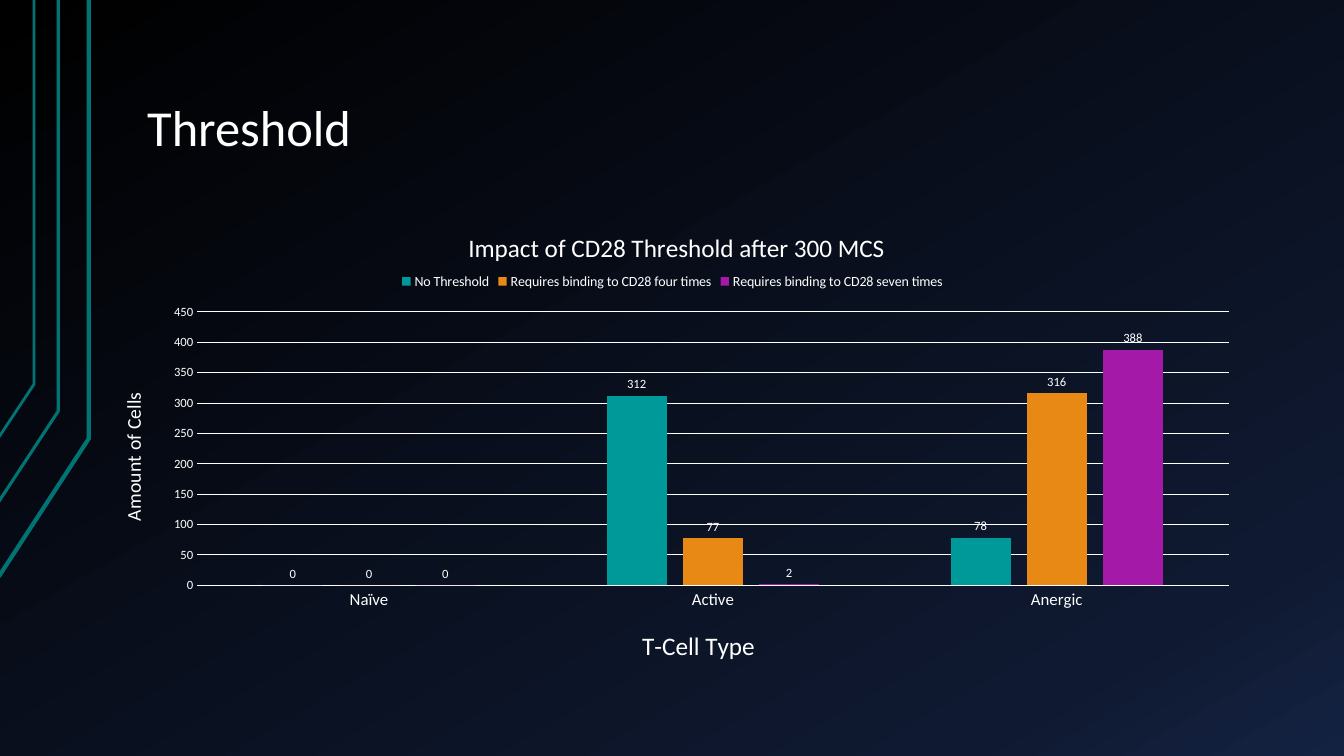
from copy import deepcopy

from lxml import etree
from pptx import Presentation
from pptx.chart.data import CategoryChartData
from pptx.dml.color import RGBColor
from pptx.enum.chart import (XL_CHART_TYPE, XL_LABEL_POSITION,
                             XL_LEGEND_POSITION, XL_TICK_MARK)
from pptx.enum.text import MSO_ANCHOR, PP_ALIGN
from pptx.oxml.ns import qn
from pptx.util import Cm, Pt

COLUMNS = XL_CHART_TYPE.COLUMN_CLUSTERED
OUTSIDE_END = XL_LABEL_POSITION.OUTSIDE_END
LEGEND_TOP = XL_LEGEND_POSITION.TOP
NO_TICK = XL_TICK_MARK.NONE

FONT = "Calibri"
WHITE = "FFFFFF"
TEAL = "007373"
TITLE = "Threshold"
GRADIENT = [(0, "000000"), (0.85, "0F1931"), (1, "142242")]

# Left end x, y; bend x, y (cm); width (pt). Each line rises from its bend.
EDGE_LINES = [
    (-0.03, 14.53, 2.24, 11.05, 3),
    (-0.05, 12.67, 1.47, 10.36, 2.25),
    (-0.03, 11.02, 0.86, 9.68, 2),
]

CHART_BOX = (2.34, 5.08, 29.21, 12.09)
CATEGORIES = ["Naïve", "Active", "Anergic"]
SERIES = [
    ("No Threshold", (0, 312, 78), "009999"),
    ("Requires binding to CD28 four times", (0, 77, 316), "E98915"),
    ("Requires binding to CD28 seven times", (0, 2, 388), "A419A7"),
]
# Text, size, place as fractions of the chart
CHART_TITLE = ("Impact of CD28 Threshold after 300 MCS", 18, (0.32, 0.05))
CATEGORY_TITLE = ("T-Cell Type", 18, (0.47, 0.88))
VALUE_TITLE = ("Amount of Cells", 14, (0.02, 0.39))
PLOT_AREA = (0.09, 0.23, 0.89, 0.57)


def color(value):
    return RGBColor.from_string(value)


def style_font(font, size):
    font.name = FONT
    font.size = Pt(size)
    font.bold = False
    font.color.rgb = color(WHITE)


def style_line(line, value, width):
    line.color.rgb = color(value)
    line.width = Pt(width)


def place(element, index, fractions):
    """Give a chart part a fixed place inside the chart."""
    for old in element.findall(qn("c:layout")):
        element.remove(old)
    layout = etree.Element(qn("c:layout"))
    manual = etree.SubElement(layout, qn("c:manualLayout"))
    if len(fractions) == 4:
        etree.SubElement(manual, qn("c:layoutTarget"), val="inner")
    for tag in ("xMode", "yMode"):
        etree.SubElement(manual, qn("c:" + tag), val="edge")
    for tag, value in zip("xywh", fractions):
        etree.SubElement(manual, qn("c:" + tag), val=str(value))
    element.insert(index, layout)


def write_title(title, content):
    text, size, position = content
    r = title.text_frame.paragraphs[0].add_run()
    r.text = text
    style_font(r.font, size)
    place(title.element, 1, position)


def add_background(s):
    fill = s.background.fill
    fill.gradient()
    fill.gradient_angle = 300
    stops = s.element.find(".//" + qn("a:gsLst"))
    stops.append(deepcopy(stops[-1]))
    for stop, (position, value) in zip(fill.gradient_stops, GRADIENT):
        stop.position = position
        stop.color.rgb = color(value)


def add_edge_lines(s):
    for x, y, bend_x, bend_y, width in EDGE_LINES:
        builder = s.shapes.build_freeform(Cm(x), Cm(y))
        builder.add_line_segments(
            [(Cm(bend_x), Cm(bend_y)), (Cm(bend_x), 0)], close=False)
        sp = builder.convert_to_shape()
        sp.shadow.inherit = False
        sp.fill.background()
        style_line(sp.line, TEAL, width)


def add_title(s):
    sp = s.shapes.title
    sp.left, sp.top, sp.width, sp.height = Cm(3.38), Cm(0.76), Cm(28.78), Cm(3.4)
    tf = sp.text_frame
    tf.vertical_anchor = MSO_ANCHOR.BOTTOM
    tf.margin_left = tf.margin_right = Cm(0.33)
    tf.margin_top = tf.margin_bottom = Cm(0.18)
    p = tf.paragraphs[0]
    p.alignment = PP_ALIGN.LEFT
    p.line_spacing = 0.9
    r = p.add_run()
    r.text = TITLE
    style_font(r.font, 36)


def add_cell_chart(s):
    data = CategoryChartData()
    data.categories = CATEGORIES
    for name, values, _ in SERIES:
        data.add_series(name, values)
    box = [Cm(v) for v in CHART_BOX]
    chart = s.shapes.add_chart(COLUMNS, *box, data).chart
    style_font(chart.font, 10)
    write_title(chart.chart_title, CHART_TITLE)

    chart.has_legend = True
    chart.legend.position = LEGEND_TOP
    chart.legend.include_in_layout = False
    style_font(chart.legend.font, 10)

    plot = chart.plots[0]
    plot.vary_by_categories = False
    plot.gap_width = 219
    plot.overlap = -27
    for series, (_, _, value) in zip(plot.series, SERIES):
        series.format.fill.solid()
        series.format.fill.fore_color.rgb = color(value)
        labels = series.data_labels
        labels.show_value = True
        labels.position = OUTSIDE_END
        style_font(labels.font, 9)

    cat_axis, val_axis = chart.category_axis, chart.value_axis
    for axis, size, title in ((cat_axis, 12, CATEGORY_TITLE),
                              (val_axis, 9, VALUE_TITLE)):
        axis.major_tick_mark = axis.minor_tick_mark = NO_TICK
        style_font(axis.tick_labels.font, size)
        write_title(axis.axis_title, title)
    style_line(cat_axis.format.line, WHITE, 0.75)
    val_axis.format.line.fill.background()
    val_axis.minimum_scale, val_axis.maximum_scale = 0, 450
    val_axis.major_unit = 50
    val_axis.has_major_gridlines = True
    style_line(val_axis.major_gridlines.format.line, WHITE, 0.75)
    body = val_axis.axis_title.element.find(".//" + qn("a:bodyPr"))
    body.set("rot", "-5400000")
    body.set("vert", "horz")
    place(chart.element.find(".//" + qn("c:plotArea")), 0, PLOT_AREA)


def main():
    prs = Presentation()
    prs.slide_width, prs.slide_height = Cm(33.87), Cm(19.05)
    s = prs.slides.add_slide(prs.slide_layouts[5])
    add_background(s)
    add_edge_lines(s)
    add_title(s)
    add_cell_chart(s)
    prs.save("out.pptx")


if __name__ == "__main__":
    main()
